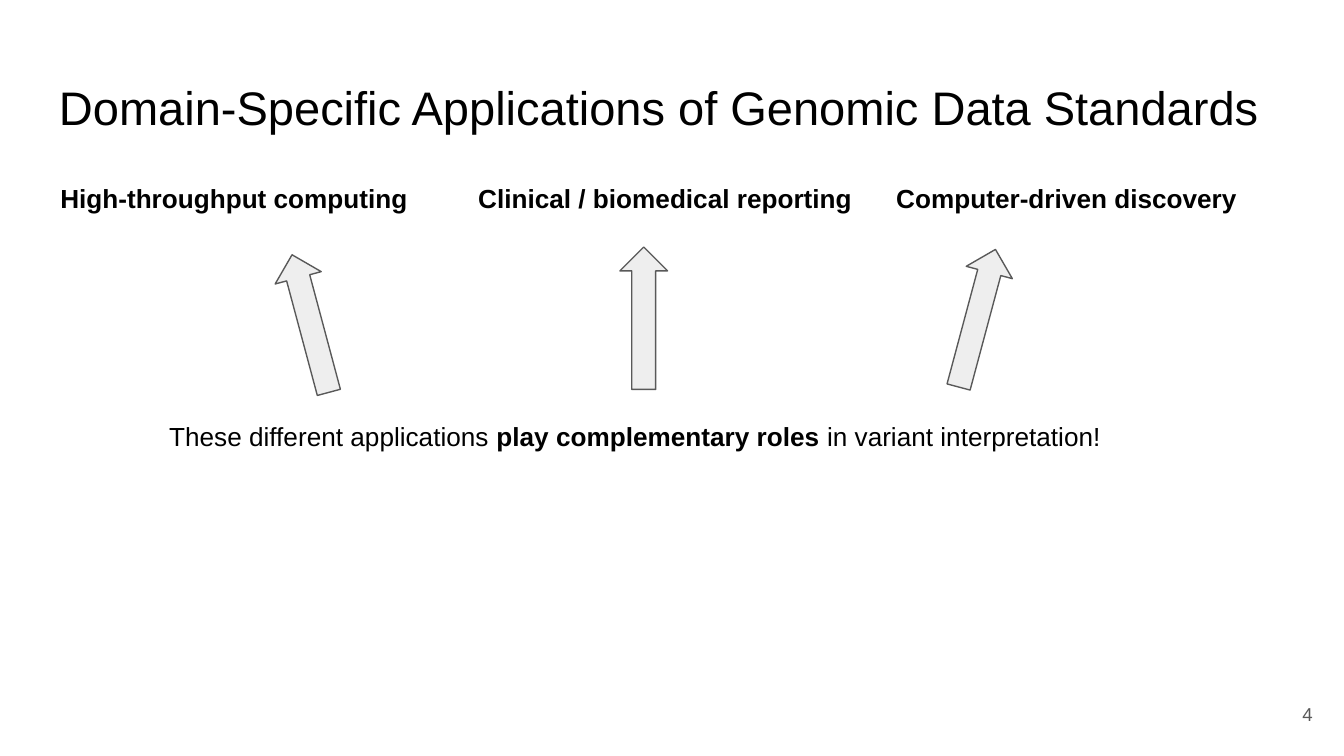
import pptx
import pptx.dml.color
import pptx.enum.shapes
import pptx.enum.text
import pptx.util

PX = 4572
BLACK = pptx.dml.color.RGBColor(0x00, 0x00, 0x00)
GREY = pptx.dml.color.RGBColor(0x59, 0x59, 0x59)
PALE = pptx.dml.color.RGBColor(0xEE, 0xEE, 0xEE)
WHITE = pptx.dml.color.RGBColor(0xFF, 0xFF, 0xFF)
LEFT = pptx.enum.text.PP_ALIGN.LEFT
RIGHT = pptx.enum.text.PP_ALIGN.RIGHT
TOP = pptx.enum.text.MSO_ANCHOR.TOP
MIDDLE = pptx.enum.text.MSO_ANCHOR.MIDDLE


def px(*lengths):
    """Turn px lengths into EMU."""
    return [pptx.util.Emu(length * PX) for length in lengths]


def add_text(page, place, spans, size=14, color=BLACK, align=LEFT, anchor=TOP):
    """Add a one-paragraph text box from (text, bold) spans."""
    box = page.shapes.add_textbox(*px(*place))
    frame = box.text_frame
    frame.word_wrap = True
    frame.vertical_anchor = anchor
    frame.margin_left, frame.margin_top, frame.margin_right, frame.margin_bottom = px(20, 20, 20, 20)
    para = frame.paragraphs[0]
    para.alignment = align
    for text, bold in spans:
        span = para.add_run()
        span.text = text
        span.font.name = "Arial"
        span.font.size = pptx.util.Pt(size)
        span.font.bold = bold
        span.font.color.rgb = color


def add_arrow(page, left, top, rotation):
    """Add a pale block arrow turned to point upwards."""
    kind = pptx.enum.shapes.MSO_SHAPE.RIGHT_ARROW
    arrow = page.shapes.add_shape(kind, *px(left, top, 212, 71))
    arrow.rotation = rotation
    arrow.shadow.inherit = False
    arrow.fill.solid()
    arrow.fill.fore_color.rgb = PALE
    arrow.line.color.rgb = GREY
    arrow.line.width = pptx.util.Pt(0.75)


def main():
    """Build the slide and save it."""
    deck = pptx.Presentation()
    deck.slide_width, deck.slide_height = px(2000, 1125)
    page = deck.slides.add_slide(deck.slide_layouts[6])
    page.background.fill.solid()
    page.background.fill.fore_color.rgb = WHITE

    add_text(page, (1853, 1020, 120, 86), [("4", False)], 10, GREY, RIGHT, MIDDLE)
    title = "Domain-Specific Applications of Genomic Data Standards"
    add_text(page, (68, 97, 1864, 126), [(title, False)], 25.2)

    headings = (
        "High-throughput computing",
        "Clinical / biomedical reporting",
        "Computer-driven discovery",
    )
    for column, heading in enumerate(headings):
        add_text(page, (70 + 622 * column, 252, 618, 88), [(heading, True)])

    add_text(page, (232, 606, 1538, 88), [
        ("These different applications ", False),
        ("play complementary roles", True),
        (" in variant interpretation!", False),
    ])

    for column, top in enumerate((446, 438, 438)):
        add_arrow(page, 356 + 496 * column, top, 255 + 15 * column)

    deck.save("out.pptx")


if __name__ == "__main__":
    main()
